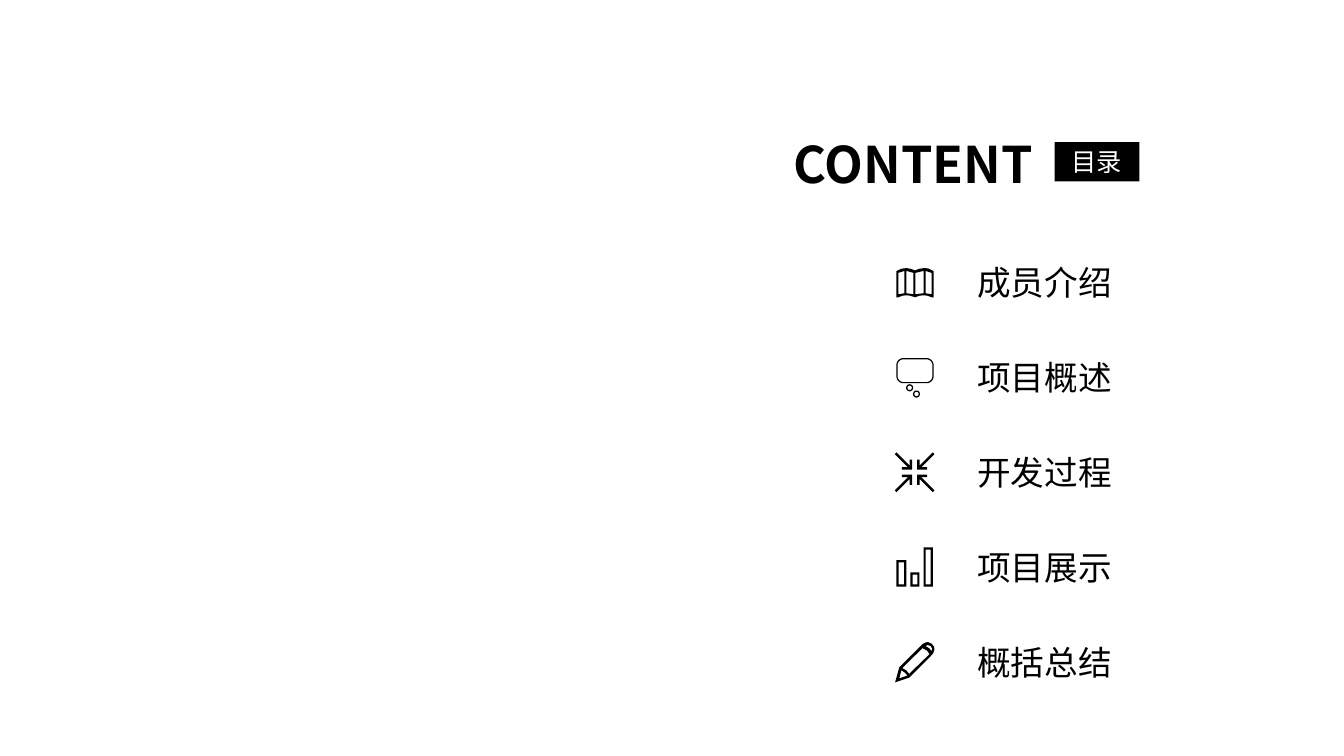
import math

import pptx
import pptx.dml.color
import pptx.enum.shapes
import pptx.enum.text
import pptx.oxml
import pptx.oxml.ns
import pptx.util
from pptx.util import Inches

FONT = "Noto Sans CJK SC"
BLACK, WHITE = "000000", "FFFFFF"
color = pptx.dml.color.RGBColor.from_string


def rounded_outline(left, top, width, height, radius):
    """Return the points of a rounded rectangle, or of a circle if radius is half the size."""
    points = []
    centers = [
        (left + width - radius, top + height - radius),
        (left + radius, top + height - radius),
        (left + radius, top + radius),
        (left + width - radius, top + radius),
    ]
    for corner, (x, y) in enumerate(centers):
        for step in range(7):
            angle = math.radians(90 * corner + 15 * step)
            points.append((x + radius * math.cos(angle), y + radius * math.sin(angle)))
    return points


def draw_icon(shapes, left, top, outlines):
    """Draw closed outlines, in hundredths of an inch, as one shape; inner ones become holes."""
    first, *others = [[(10 * x, 10 * y) for x, y in outline] for outline in outlines]
    builder = shapes.build_freeform(*first[0], scale=Inches(0.001))
    builder.add_line_segments(first[1:], close=True)
    for outline in others:
        builder.move_to(*outline[0])
        builder.add_line_segments(outline[1:], close=True)
    icon = builder.convert_to_shape(left, top)
    icon.fill.solid()
    icon.fill.fore_color.rgb = color(BLACK)
    icon.line.fill.background()
    icon.shadow.inherit = False


deck = pptx.Presentation()
deck.slide_width, deck.slide_height = Inches(13.33), Inches(7.5)
slide = deck.slides.add_slide(deck.slide_layouts[5])
shapes = slide.shapes

# Icons
book = [[
    (2, 9), (7, 6.7), (12, 6), (16, 6.7), (20.5, 8.3), (25, 6.7), (30, 6), (34, 6.5), (39, 9),
    (39, 35), (37, 35), (33, 33.5), (29, 33), (25, 33.5), (20.5, 35),
    (16, 33.5), (12, 33), (8, 33.5), (4, 35), (2, 35),
]]
for low_side, high_side in [(4, 10), (19, 12), (21, 29), (37, 31)]:
    book.append([(low_side, 10.8), (high_side, 8.8), (high_side, 31), (low_side, 32)])

bubble = [rounded_outline(2, 1, 37, 25, 7), rounded_outline(3.2, 2.2, 34.6, 22.6, 5.8)]
for x, y in [(15.2, 30.5), (22, 36.7)]:
    for radius in (3.5, 2.2):
        bubble.append(rounded_outline(x - radius, y - radius, 2 * radius, 2 * radius, radius))

arrow = [
    (2.5, 2.5), (12.5, 2.5), (12.5, 5), (6.7, 5), (19.7, 18),
    (18, 19.7), (5, 6.7), (5, 12.5), (2.5, 12.5),
]
arrows = [
    [(20.2 + x_sign * x, 20 + y_sign * y) for x, y in arrow]
    for x_sign in (-1, 1) for y_sign in (-1, 1)
]

bars = []
for left, top, right in [(2, 13, 12), (16, 25.3, 25), (29, 0.3, 38.3)]:
    for inset in (0, 2.2):
        x1, x2, y1, y2 = left + inset, right - inset, top + inset, 39.3 - inset
        bars.append([(x1, y1), (x2, y1), (x2, y2), (x1, y2)])

pencil = [
    [(0.8, 40), (5, 25), (28.2, 2), (30.5, 0.6), (33.3, 0), (37, 1.5),
     (39.5, 4.5), (39.8, 7.5), (38.5, 11.5), (15, 35.3)],
    [(7, 28), (5, 36), (13, 33.3), (12, 32), (10, 30)],
    [(28, 6), (8, 25.8), (12, 28.2), (14.8, 31.5), (35, 12), (32.5, 8.5)],
    [(33, 2.9), (31, 4), (34.5, 6), (37, 9), (37.6, 6.5), (36, 3.9)],
]

# Heading
title = shapes.title
title.left, title.top = Inches(7.77), Inches(1.27)
title.width, title.height = Inches(3.23), Inches(0.71)
title.text_frame.text = "CONTENT"
title.text_frame.vertical_anchor = pptx.enum.text.MSO_ANCHOR.TOP
title.text_frame.auto_size = pptx.enum.text.MSO_AUTO_SIZE.NONE

label = shapes.add_shape(
    pptx.enum.shapes.MSO_SHAPE.RECTANGLE,
    Inches(10.46), Inches(1.41), Inches(0.84), Inches(0.39),
)
label.fill.solid()
label.fill.fore_color.rgb = color(BLACK)
label.line.fill.background()
label.shadow.inherit = False
label.text_frame.text = "目录"
label.text_frame.vertical_anchor = pptx.enum.text.MSO_ANCHOR.MIDDLE

LEFT, CENTER = pptx.enum.text.PP_ALIGN.LEFT, pptx.enum.text.PP_ALIGN.CENTER
styled_texts = [(title, 36, BLACK, True, LEFT), (label, 18, WHITE, False, CENTER)]

# Agenda rows
rows = [
    ("成员介绍", book),
    ("项目概述", bubble),
    ("开发过程", arrows),
    ("项目展示", bars),
    ("概括总结", pencil),
]
first_top, last_top = 2.55, 6.32
row_pitch = (last_top - first_top) / (len(rows) - 1)
for index, (topic, outlines) in enumerate(rows):
    row_top = first_top + index * row_pitch
    draw_icon(shapes, Inches(8.87), Inches(row_top + 0.05), outlines)
    box = shapes.add_textbox(Inches(9.43), Inches(row_top), Inches(1.86), Inches(0.5))
    box.text_frame.word_wrap = True
    box.text_frame.margin_left = box.text_frame.margin_right = 0
    box.text_frame.text = topic
    styled_texts.append((box, 24, BLACK, False, CENTER))

# Text styles, with the same font for Latin and Chinese characters
for shape, size, text_color, bold, alignment in styled_texts:
    para = shape.text_frame.paragraphs[0]
    para.alignment = alignment
    para.font.name = FONT
    para.font.size = pptx.util.Pt(size)
    para.font.bold = bold
    para.font.color.rgb = color(text_color)
    latin = para._p.find(".//" + pptx.oxml.ns.qn("a:latin"))
    east_asian = pptx.oxml.parse_xml(
        f'<a:ea {pptx.oxml.ns.nsdecls("a")} typeface="{FONT}"/>'
    )
    latin.addnext(east_asian)

deck.save("out.pptx")
